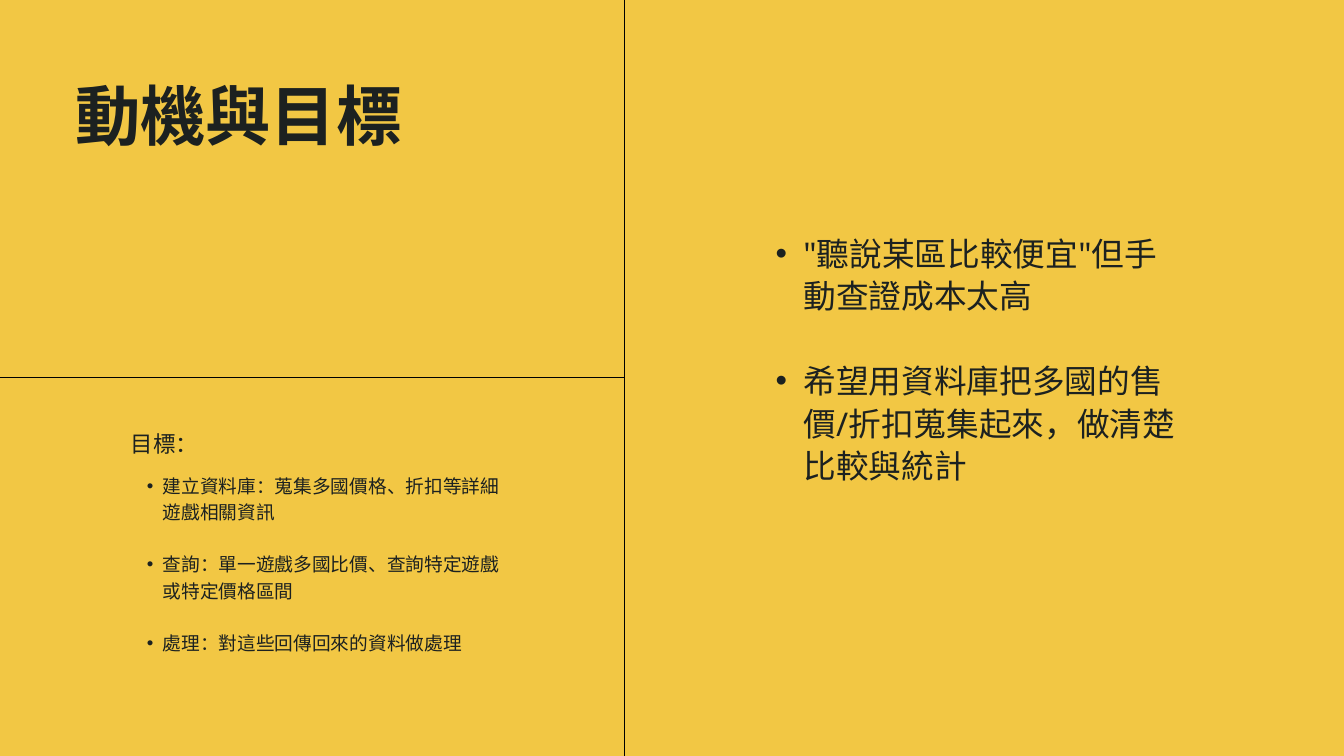
from dataclasses import dataclass
from lxml import etree
from pptx import Presentation
from pptx import util as u
from pptx.dml.color import RGBColor
from pptx.enum import shapes, text
from pptx.oxml.ns import qn


@dataclass(frozen=True)
class Theme:
    font: str = "Noto Sans"
    back: str = "F2C744"
    ink: str = "1C2120"
    rule: str = "000000"
    head: int = 70
    lead: int = 35
    label: int = 24
    body: int = 20


T = Theme()
WIDE, HIGH = 50.8, 28.58
SPLIT_X, SPLIT_Y = 23.6, 14.26


def place(shape, box):
    shape.left, shape.top, shape.width, shape.height = map(u.Cm, box)


def write(shape, *lines, size, lead, bold=False, indent=None, gap=0):
    """Fill a shape with paragraphs; indent in cm makes them bullets."""
    frame = shape.text_frame
    frame.word_wrap = True
    frame.auto_size = text.MSO_AUTO_SIZE.NONE
    frame.vertical_anchor = text.MSO_ANCHOR.TOP
    frame.margin_left = frame.margin_right = 0
    frame.margin_top = frame.margin_bottom = 0
    for i, line in enumerate(lines):
        para = frame.paragraphs[0] if i == 0 else frame.add_paragraph()
        para.alignment = text.PP_ALIGN.LEFT
        para.line_spacing = u.Pt(lead)
        para.space_before = u.Pt(gap if i else 0)
        if indent:
            para.level = 1
            props = para._p.get_or_add_pPr()
            props.set("marL", str(u.Cm(indent)))
            props.set("indent", str(-u.Cm(indent / 2)))
            etree.SubElement(props, qn("a:buFont"), typeface="Arial")
            etree.SubElement(props, qn("a:buChar"), char="•")
        run = para.add_run()
        run.text = line
        font = run.font
        font.name, font.size, font.bold = T.font, u.Pt(size), bold
        font.color.rgb = RGBColor.from_string(T.ink)
        east = etree.SubElement(run._r.get_or_add_rPr(), qn("a:ea"))
        east.set("typeface", T.font)


def add_text(slide, box, *lines, **form):
    shape = slide.shapes.add_textbox(*map(u.Cm, box))
    write(shape, *lines, **form)


def add_rule(slide, *ends):
    rule = slide.shapes.add_connector(
        shapes.MSO_CONNECTOR.STRAIGHT, *map(u.Cm, ends))
    rule.line.color.rgb = RGBColor.from_string(T.rule)
    rule.line.width = u.Pt(0.75)
    etree.SubElement(rule._element.spPr, qn("a:effectLst"))


def add_title(slide, box):
    x, y, w, h = box
    title = slide.shapes.title
    place(title, (x + 2.84, y + 2.84, 16.43, 2.97))
    write(title, "動機與目標", size=T.head, lead=84, bold=True)


def add_motives(slide, box):
    x, y, w, h = box
    add_text(slide, (x + 4.67, y + 8.71, 16.43, 11.07),
             '"聽說某區比較便宜"但手動查證成本太高',
             "希望用資料庫把多國的售價/折扣蒐集起來，做清楚比較與統計",
             size=T.lead, lead=45.5, indent=2.1, gap=45.5)


def add_goals(slide, box):
    x, y, w, h = box
    left, width = x + 4.95, 14
    add_text(slide, (left, y + 2, width, 1.02), "目標：",
             size=T.label, lead=28.8)
    add_text(slide, (left, y + 3.55, width, 6.9),
             "建立資料庫：蒐集多國價格、折扣等詳細遊戲相關資訊",
             "查詢：單一遊戲多國比價、查詢特定遊戲或特定價格區間",
             "處理：對這些回傳回來的資料做處理",
             size=T.body, lead=28, indent=1.2, gap=28)


def main():
    deck = Presentation()
    deck.slide_width, deck.slide_height = u.Cm(WIDE), u.Cm(HIGH)
    slide = deck.slides.add_slide(deck.slide_layouts[5])
    fill = slide.background.fill
    fill.solid()
    fill.fore_color.rgb = RGBColor.from_string(T.back)

    # Dividing rules
    add_rule(slide, SPLIT_X, 0, SPLIT_X, HIGH)
    add_rule(slide, 0, SPLIT_Y, SPLIT_X, SPLIT_Y)

    # Three panels
    add_title(slide, (0, 0, SPLIT_X, SPLIT_Y))
    add_motives(slide, (SPLIT_X, 0, WIDE - SPLIT_X, HIGH))
    add_goals(slide, (0, SPLIT_Y, SPLIT_X, HIGH - SPLIT_Y))

    deck.save("out.pptx")


if __name__ == "__main__":
    main()
